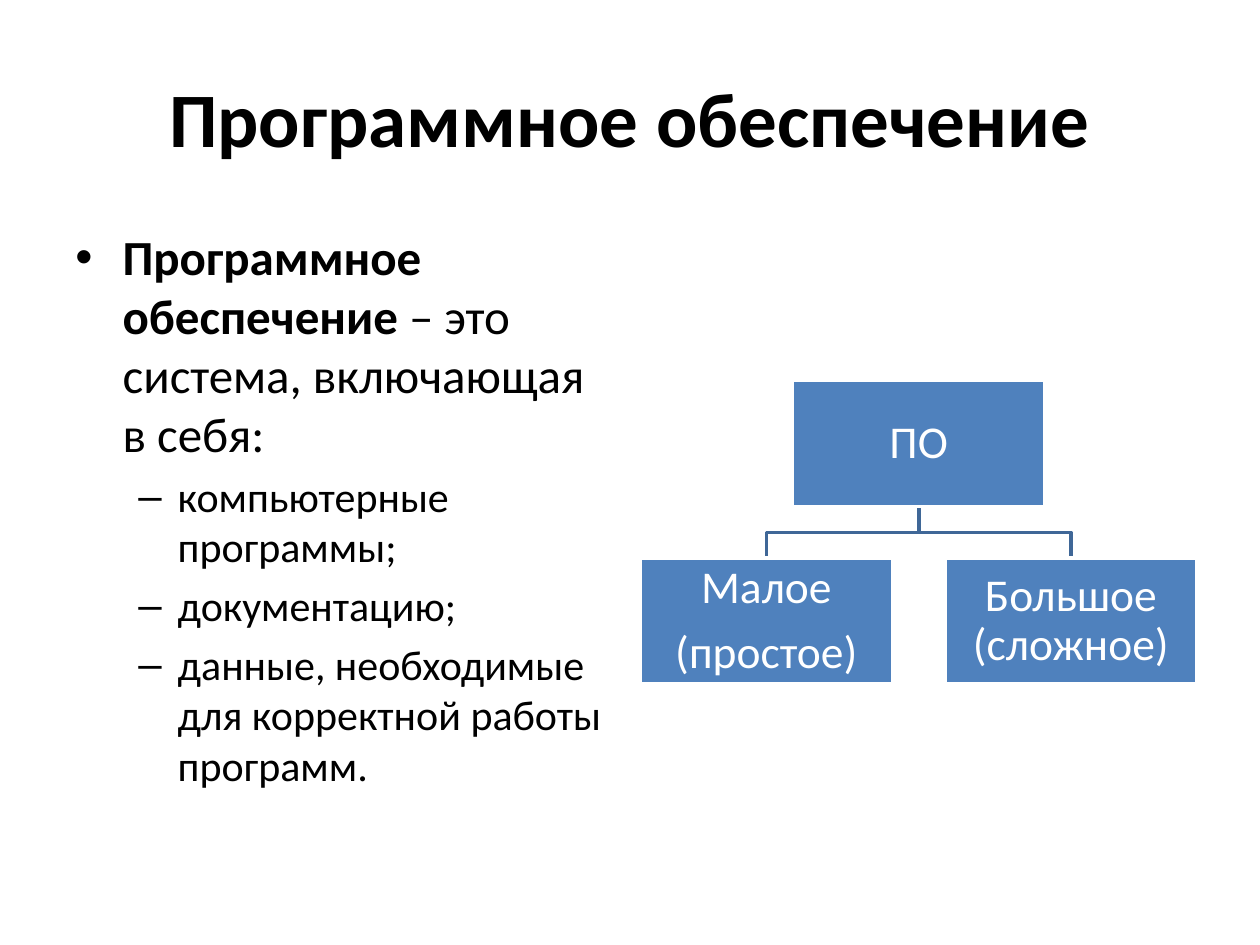
from pptx import Presentation
from pptx.util import Pt
from pptx.dml.color import RGBColor
from pptx.enum.shapes import MSO_SHAPE
from pptx.enum.text import MSO_ANCHOR, PP_ALIGN
from lxml import etree

RECT = MSO_SHAPE.RECTANGLE
MIDDLE, TOP = MSO_ANCHOR.MIDDLE, MSO_ANCHOR.TOP
CENTER, LEFT = PP_ALIGN.CENTER, PP_ALIGN.LEFT
BLACK = RGBColor(0, 0, 0)
WHITE = RGBColor(255, 255, 255)
BLUE = RGBColor(0x4F, 0x81, 0xBD)
LINE = RGBColor(0x3F, 0x67, 0x97)
NS = "{http://schemas.openxmlformats.org/drawingml/2006/main}"


def add_run(p, text, size, color=BLACK, bold=False):
    r = p.add_run()
    r.text = text
    r.font.name = "Calibri"
    r.font.size = Pt(size)
    r.font.bold = bold
    r.font.color.rgb = color


prs = Presentation()
prs.slide_width, prs.slide_height = Pt(720), Pt(540)
s = prs.slides.add_slide(prs.slide_layouts[6])

title = s.shapes.add_textbox(Pt(36), Pt(21.6), Pt(648), Pt(90))
body = s.shapes.add_textbox(Pt(36), Pt(126), Pt(318), Pt(356.4))
for sp, anchor in ((title, MIDDLE), (body, TOP)):
    sp.text_frame.word_wrap = True
    sp.text_frame.vertical_anchor = anchor

p = title.text_frame.paragraphs[0]
p.alignment = CENTER
add_run(p, "Программное обеспечение", 44, bold=True)

items = [
    (0, [("Программное обеспечение ", True), ("– это система, включающая в себя: ", False)]),
    (1, [("компьютерные программы; ", False)]),
    (1, [("документацию; ", False)]),
    (1, [("данные, необходимые для корректной работы программ.", False)]),
]
levels = [(28, 27, -27, "•"), (24, 58.5, -22.5, "–")]
tf = body.text_frame
for i, (level, runs) in enumerate(items):
    size, margin, indent, bullet = levels[level]
    p = tf.add_paragraph() if i else tf.paragraphs[0]
    p.level = level
    p.alignment = LEFT
    p.space_before = Pt(size * 0.2)
    pPr = p._p.get_or_add_pPr()
    pPr.set("marL", str(Pt(margin)))
    pPr.set("indent", str(Pt(indent)))
    etree.SubElement(pPr, NS + "buFont", typeface="Arial")
    etree.SubElement(pPr, NS + "buChar", char=bullet)
    for text, bold in runs:
        add_run(p, text, size, bold=bold)

BOX_W, BOX_H = 144, 72
ROOT_X, ROOT_Y, CHILD_Y = 525, 217.5, 319
CHILD_XS = (612, 438)
root_bottom = ROOT_Y + BOX_H
mid_y = (root_bottom + CHILD_Y) / 2

for x in CHILD_XS:
    fb = s.shapes.build_freeform(Pt(ROOT_X), Pt(root_bottom))
    fb.add_line_segments(
        [(Pt(ROOT_X), Pt(mid_y)), (Pt(x), Pt(mid_y)), (Pt(x), Pt(CHILD_Y))], close=False)
    sp = fb.convert_to_shape()
    sp.shadow.inherit = False
    sp.fill.background()
    sp.line.color.rgb = LINE
    sp.line.width = Pt(2)

boxes = [
    (ROOT_X, ROOT_Y, ["ПО"]),
    (CHILD_XS[1], CHILD_Y, ["Малое", "(простое)"]),
    (CHILD_XS[0], CHILD_Y, ["Большое (сложное)"]),
]
for x, y, lines in boxes:
    sp = s.shapes.add_shape(RECT, Pt(x - BOX_W / 2), Pt(y), Pt(BOX_W), Pt(BOX_H))
    sp.shadow.inherit = False
    sp.fill.solid()
    sp.fill.fore_color.rgb = BLUE
    sp.line.color.rgb = WHITE
    sp.line.width = Pt(2)
    tf = sp.text_frame
    tf.word_wrap = True
    tf.vertical_anchor = MIDDLE
    tf.margin_left = tf.margin_right = tf.margin_top = tf.margin_bottom = Pt(1.3)
    for i, text in enumerate(lines):
        p = tf.add_paragraph() if i else tf.paragraphs[0]
        p.alignment = CENTER
        p.line_spacing = 0.9
        p.space_before = Pt(9.1 if i else 0)
        add_run(p, text, 26, WHITE)

prs.save("out.pptx")
